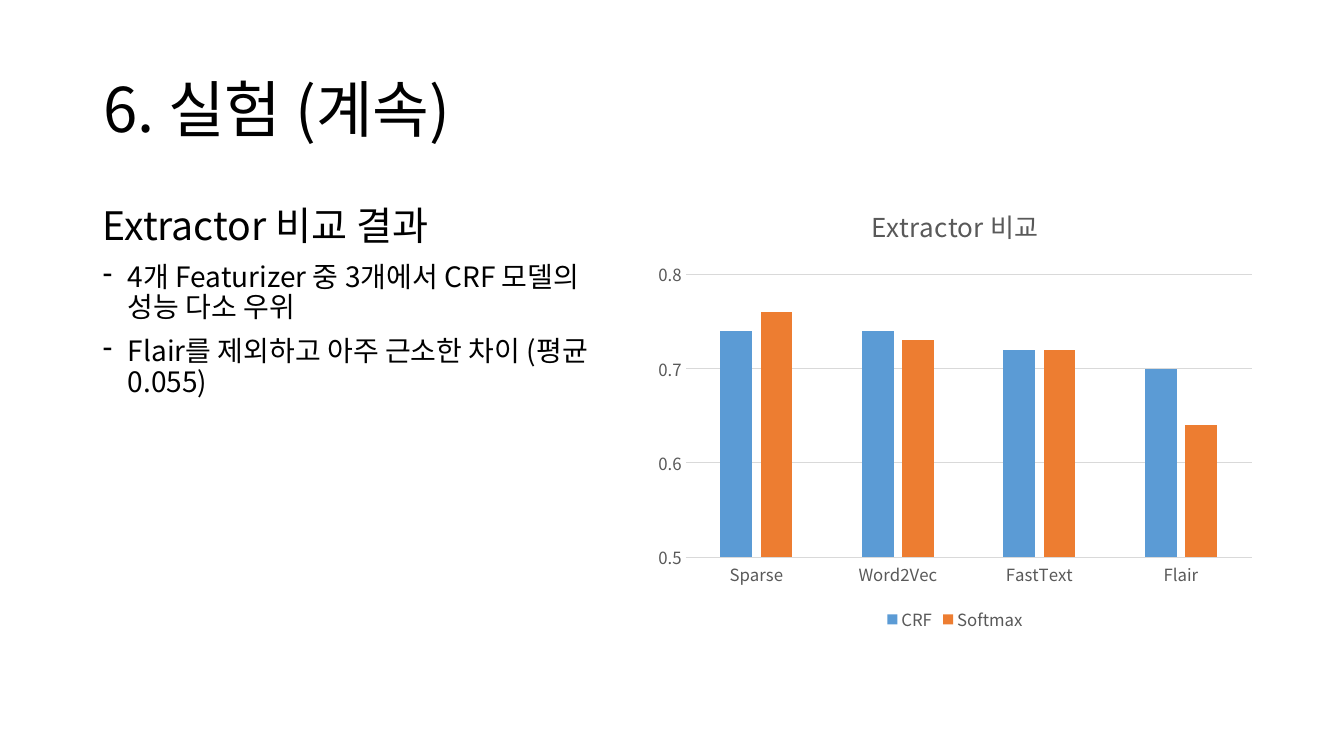
from lxml import etree
from pptx import Presentation
from pptx.chart.data import CategoryChartData
from pptx.dml.color import RGBColor
from pptx.enum.chart import XL_CHART_TYPE as CT, XL_LEGEND_POSITION as LP, XL_TICK_MARK as TM
from pptx.enum.text import MSO_ANCHOR, PP_ALIGN
from pptx.oxml.ns import qn
from pptx.util import Emu, Pt

FONT = "Noto Sans CJK KR"
BLACK, GRAY, GRID = "000000", "595959", "D9D9D9"
SERIES = {
    "CRF": ("5B9BD5", (0.74, 0.74, 0.72, 0.7)),
    "Softmax": ("ED7D31", (0.76, 0.73, 0.72, 0.64)),
}


def px(n):
    return Emu(round(n * 914400 / 100.8))


def rgb(value):
    return RGBColor.from_string(value)


def style_font(font, size, color):
    font.name = FONT
    font.size = Pt(size)
    font.bold = False
    font.color.rgb = rgb(color)


def style_line(line, color):
    line.color.rgb = rgb(color)
    line.width = Pt(0.75)


def style_paragraph(p, size, before=0):
    p.alignment = PP_ALIGN.LEFT
    p.line_spacing = 0.9
    p.space_before = Pt(before)
    style_font(p.font, size, BLACK)
    rpr = p._p.pPr.find(qn("a:defRPr"))
    etree.SubElement(rpr, qn("a:ea"), typeface=FONT)


def add_dash(p):
    ppr = p._p.pPr
    ppr.set("marL", str(px(25)))
    ppr.set("indent", str(-px(25)))
    dash = etree.Element(qn("a:buChar"), char="-")
    ppr.find(qn("a:defRPr")).addprevious(dash)


def add_title(s, x, y, w, h):
    sp = s.shapes.title
    sp.left, sp.top, sp.width, sp.height = map(px, (x, y, w, h))
    tf = sp.text_frame
    tf.text = "6. 실험 (계속)"
    tf.word_wrap = True
    tf.vertical_anchor = MSO_ANCHOR.MIDDLE
    style_paragraph(tf.paragraphs[0], 44)


def add_findings(s, x, y, w, h):
    tf = s.shapes.add_textbox(*map(px, (x, y, w, h))).text_frame
    tf.word_wrap = True
    p = tf.paragraphs[0]
    p.text = "Extractor 비교 결과"
    style_paragraph(p, 28, 10)
    for text in (
        "4개 Featurizer 중 3개에서 CRF 모델의 성능 다소 우위",
        "Flair를 제외하고 아주 근소한 차이 (평균 0.055)",
    ):
        p = tf.add_paragraph()
        p.text = text
        style_paragraph(p, 20, 10)
        add_dash(p)


def add_comparison(s, x, y, w, h):
    data = CategoryChartData(number_format="General")
    data.categories = ["Sparse", "Word2Vec", "FastText", "Flair"]
    for name, (_, values) in SERIES.items():
        data.add_series(name, values)
    box = map(px, (x, y, w, h))
    chart = s.shapes.add_chart(CT.COLUMN_CLUSTERED, *box, data).chart
    style_font(chart.font, 10, BLACK)

    chart.has_title = True
    tf = chart.chart_title.text_frame
    tf.text = "Extractor 비교"
    style_font(tf.paragraphs[0].font, 18.6, GRAY)
    chart.chart_title.include_in_layout = False

    chart.has_legend = True
    chart.legend.position = LP.BOTTOM
    chart.legend.include_in_layout = False
    style_font(chart.legend.font, 12, GRAY)

    cat, val = chart.category_axis, chart.value_axis
    for axis in (cat, val):
        axis.major_tick_mark = axis.minor_tick_mark = TM.NONE
        style_font(axis.tick_labels.font, 12, GRAY)
    style_line(cat.format.line, GRID)
    val.format.line.fill.background()
    val.minimum_scale, val.maximum_scale, val.major_unit = 0.5, 0.8, 0.1
    val.has_major_gridlines = True
    style_line(val.major_gridlines.format.line, GRID)

    plot = chart.plots[0]
    plot.vary_by_categories = False
    plot.gap_width, plot.overlap = 219, -27
    for series, (color, _) in zip(plot.series, SERIES.values()):
        series.format.fill.solid()
        series.format.fill.fore_color.rgb = rgb(color)


def main():
    prs = Presentation()
    prs.slide_width, prs.slide_height = px(1344), px(756)
    s = prs.slides.add_slide(prs.slide_layouts[5])
    add_title(s, 93, 40, 1159, 146)
    add_findings(s, 93, 202, 516, 292)
    add_comparison(s, 646, 185, 618, 451)
    prs.save("out.pptx")


if __name__ == "__main__":
    main()
